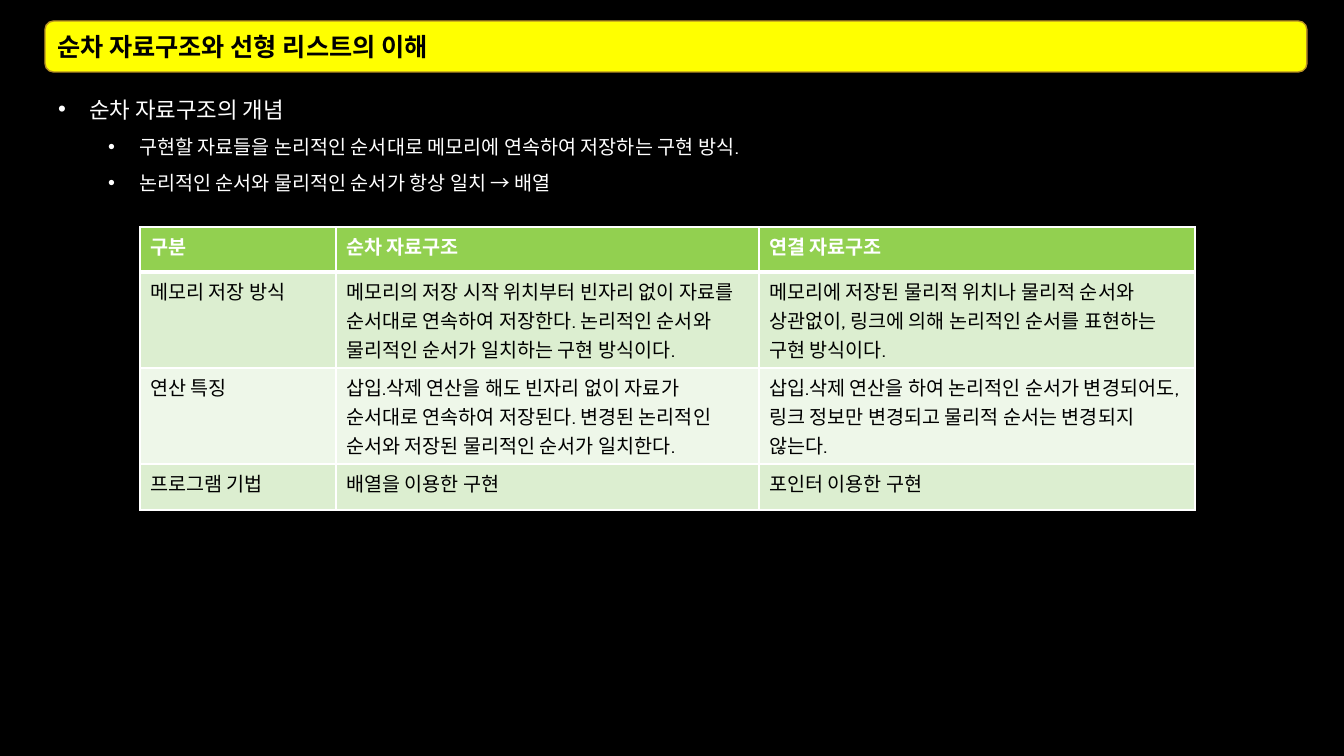
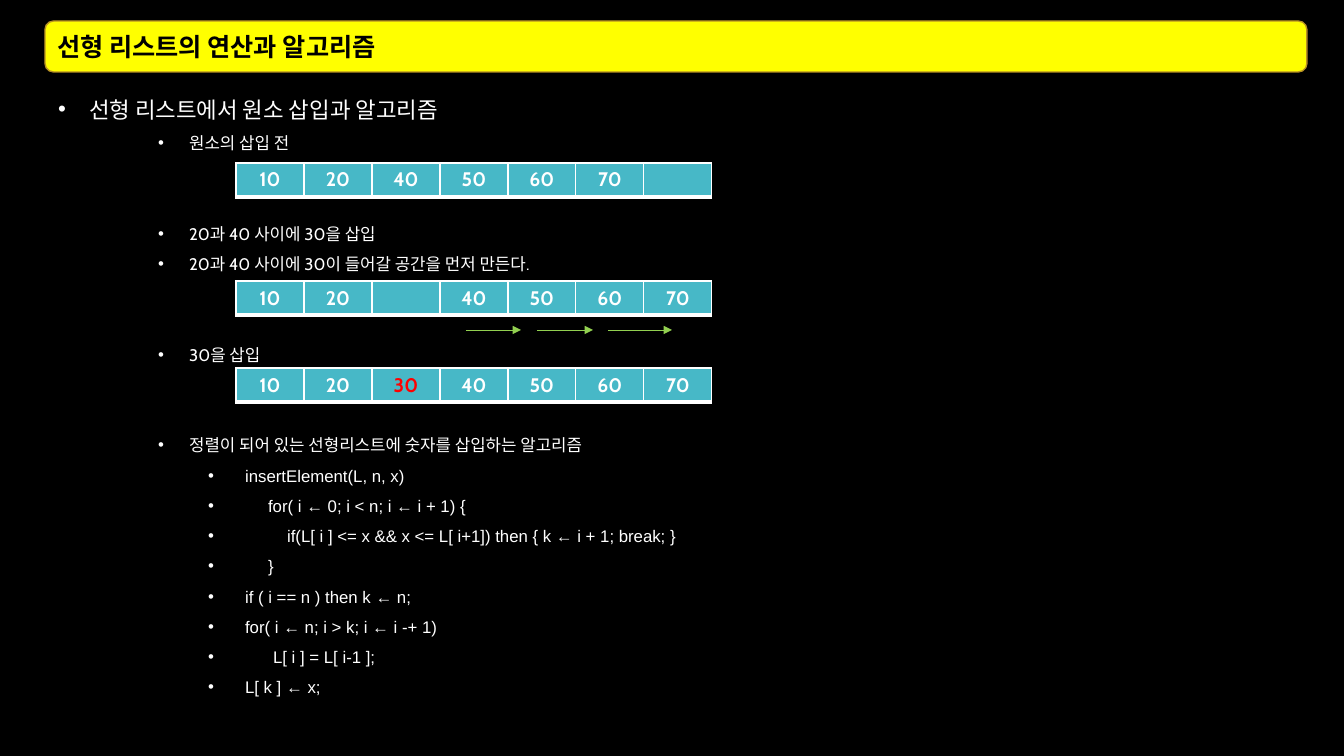
from typing import NamedTuple

from lxml.etree import SubElement
from pptx import Presentation
from pptx.dml.color import RGBColor
from pptx.enum.shapes import MSO_CONNECTOR, MSO_SHAPE
from pptx.enum.text import MSO_ANCHOR as Anchor, MSO_AUTO_SIZE as AutoSize, PP_ALIGN as Align
from pptx.oxml.ns import qn
from pptx.util import Emu, Pt

BLACK = RGBColor(0x00, 0x00, 0x00)
WHITE = RGBColor(0xFF, 0xFF, 0xFF)
RED = RGBColor(0xFF, 0x00, 0x00)
YELLOW = RGBColor(0xFF, 0xFF, 0x00)
GOLD = RGBColor(0xB7, 0x90, 0x24)
GREEN = RGBColor(0x92, 0xD0, 0x50)
PALE_GREEN = RGBColor(0xDC, 0xEE, 0xD0)
PALEST_GREEN = RGBColor(0xEE, 0xF7, 0xE9)
TEAL = RGBColor(0x47, 0xB8, 0xC7)

FONT = "Cabin"
CODE_FONT = "Arial"
PX_PER_INCH = 100.8
SLIDE_SIZE = (1344, 756)
TITLE_BOX = (45, 21, 1262, 51)
BODY_BOX = (48, 77, 1258, 651)
HANG = 31
LEVEL_STEP = 50
TABLE_GAP = Pt(43.2)


class LevelStyle(NamedTuple):
    """Type size, line pitch and font of an outline level."""
    size: float
    pitch: float
    font: str = FONT


class Line(NamedTuple):
    """One bulleted line; shift moves its text away from the bullet."""
    level: int
    text: str
    space_before: int = 0
    shift: int = 0


LEVELS = [
    LevelStyle(16, 29),
    LevelStyle(14, 25.7),
    LevelStyle(12, 21.6),
    LevelStyle(12, 21.6, CODE_FONT),
]

CONCEPT_LINES = [
    Line(0, "순차 자료구조의 개념"),
    Line(1, "구현할 자료들을 논리적인 순서대로 메모리에 연속하여 저장하는 구현 방식."),
    Line(1, "논리적인 순서와 물리적인 순서가 항상 일치 → 배열"),
]
COMPARISON = [
    ("구분", "순차 자료구조", "연결 자료구조"),
    ("메모리 저장 방식",
     "메모리의 저장 시작 위치부터 빈자리 없이 자료를 순서대로 연속하여 저장한다. "
     "논리적인 순서와 물리적인 순서가 일치하는 구현 방식이다.",
     "메모리에 저장된 물리적 위치나 물리적 순서와 상관없이, "
     "링크에 의해 논리적인 순서를 표현하는 구현 방식이다."),
    ("연산 특징",
     "삽입.삭제 연산을 해도 빈자리 없이 자료가 순서대로 연속하여 저장된다. "
     "변경된 논리적인 순서와 저장된 물리적인 순서가 일치한다.",
     "삽입.삭제 연산을 하여 논리적인 순서가 변경되어도, "
     "링크 정보만 변경되고 물리적 순서는 변경되지 않는다."),
    ("프로그램 기법", "배열을 이용한 구현", "포인터 이용한 구현"),
]
INSERTION_LINES = [
    Line(0, "선형 리스트에서 원소 삽입과 알고리즘"),
    Line(2, "원소의 삽입 전"),
    Line(2, "20과 40 사이에 30을 삽입", TABLE_GAP),
    Line(2, "20과 40 사이에 30이 들어갈 공간을 먼저 만든다."),
    Line(2, "30을 삽입", TABLE_GAP),
    Line(2, "정렬이 되어 있는 선형리스트에 숫자를 삽입하는 알고리즘", TABLE_GAP),
    Line(3, "insertElement(L, n, x)", shift=6),
    Line(3, "for( i ← 0; i < n; i ← i + 1) {", shift=29),
    Line(3, "if(L[ i ] <= x && x <= L[ i+1]) then { k ← i + 1; break; }", shift=48),
    Line(3, "}", shift=29),
    Line(3, "if ( i == n ) then k ← n;", shift=6),
    Line(3, "for( i ← n; i > k; i ← i -+ 1)", shift=6),
    Line(3, "L[ i ] = L[ i-1 ];", shift=34),
    Line(3, "L[ k ] ← x;", shift=6),
]
LIST_STATES = [
    (163, ("10", "20", "40", "50", "60", "70", "")),
    (281, ("10", "20", "", "40", "50", "60", "70")),
    (368, ("10", "20", "30", "40", "50", "60", "70")),
]
INSERTED = "30"
SHIFT_ARROWS = [(466, 521), (537, 593), (608, 672)]
SHIFT_ARROW_Y = 330


def px(length):
    """Convert px to EMU."""
    return Emu(round(length * 914400 / PX_PER_INCH))


def place(shape, box):
    """Move and size a shape to a px box."""
    shape.left, shape.top, shape.width, shape.height = map(px, box)


def style_font(font, size, color, name=FONT, bold=False):
    """Set every font property used in the deck."""
    font.name, font.size, font.bold = name, Pt(size), bold
    font.color.rgb = color


def add_title(slide, text, box):
    """Draw the title band and set the title on it."""
    band = slide.shapes.add_shape(MSO_SHAPE.ROUNDED_RECTANGLE, *map(px, box))
    band.shadow.inherit = False
    band.fill.solid()
    band.fill.fore_color.rgb = YELLOW
    band.line.color.rgb = GOLD
    band.line.width = Pt(1)
    title = slide.shapes.title
    title.element.addprevious(band.element)
    left, top, width, height = box
    place(title, (left + 2, top, width - 4, height))
    frame = title.text_frame
    frame.auto_size = AutoSize.NONE
    frame.vertical_anchor = Anchor.MIDDLE
    frame.text = text
    heading = frame.paragraphs[0]
    heading.alignment = Align.LEFT
    style_font(heading.font, 18, BLACK, bold=True)


def set_bullet(paragraph, level, shift):
    """Give a paragraph a round bullet and a hanging indent."""
    properties = paragraph._p.get_or_add_pPr()
    properties.set("marL", str(px(HANG + LEVEL_STEP * level + shift)))
    properties.set("indent", str(-px(HANG + shift)))
    SubElement(properties, qn("a:buFont"), typeface="Arial")
    SubElement(properties, qn("a:buChar"), char="•")


def add_outline(slide, lines, box):
    """Fill the body placeholder with bulleted lines."""
    body = slide.placeholders[1]
    place(body, box)
    frame = body.text_frame
    frame.auto_size = AutoSize.NONE
    frame.vertical_anchor = Anchor.TOP
    for index, line in enumerate(lines):
        paragraph = frame.add_paragraph() if index else frame.paragraphs[0]
        style = LEVELS[line.level]
        paragraph.text = line.text
        paragraph.level = line.level
        paragraph.line_spacing = Pt(style.pitch)
        paragraph.space_before = line.space_before
        paragraph.space_after = 0
        set_bullet(paragraph, line.level, line.shift)
        style_font(paragraph.font, style.size, WHITE, style.font)


def set_borders(cell, bottom):
    """Draw white cell borders with the given bottom width."""
    properties = cell._tc.get_or_add_tcPr()
    for position, (side, width) in enumerate(zip("LRTB", (1, 1, 1, bottom))):
        edge = SubElement(properties, qn(f"a:ln{side}"), w=str(Pt(width)))
        fill = SubElement(edge, qn("a:solidFill"))
        SubElement(fill, qn("a:srgbClr"), val=str(WHITE))
        properties.insert(position, edge)


def style_cell(cell, text, fill, color, bold, bottom=1, align=Align.LEFT):
    """Write and format one table cell."""
    cell.text = text
    cell.fill.solid()
    cell.fill.fore_color.rgb = fill
    set_borders(cell, bottom)
    paragraph = cell.text_frame.paragraphs[0]
    paragraph.alignment = align
    style_font(paragraph.font, 14, color, bold=bold)


def add_grid(slide, left, top, widths, heights):
    """Add a table with the given column widths and row heights."""
    box = (left, top, sum(widths), sum(heights))
    grid = slide.shapes.add_table(len(heights), len(widths), *map(px, box)).table
    grid.horz_banding = False
    for column, width in zip(grid.columns, widths):
        column.width = px(width)
    for row, height in zip(grid.rows, heights):
        row.height = px(height)
    return grid


def add_comparison(slide, left, top):
    """Compare sequential and linked structures."""
    grid = add_grid(slide, left, top, (196, 423, 436), (45, 96, 96, 46))
    for row, texts in enumerate(COMPARISON):
        for column, text in enumerate(texts):
            cell = grid.cell(row, column)
            if row == 0:
                style_cell(cell, text, GREEN, WHITE, True, bottom=3)
            else:
                band = PALE_GREEN if row % 2 else PALEST_GREEN
                style_cell(cell, text, band, BLACK, False)


def add_list_state(slide, values, left, top):
    """Show the list elements as one row of cells."""
    grid = add_grid(slide, left, top, [68] * len(values), [33])
    for column, value in enumerate(values):
        color = RED if value == INSERTED else WHITE
        style_cell(grid.cell(0, column), value, TEAL, color, True, 3, Align.CENTER)


def add_shift_arrow(slide, start, end, y):
    """Draw an arrow for an element moving right."""
    ends = map(px, (start, y, end, y))
    arrow = slide.shapes.add_connector(MSO_CONNECTOR.STRAIGHT, *ends)
    arrow.line.color.rgb = GREEN
    arrow.line.width = Pt(0.5)
    SubElement(arrow.get_or_add_ln(), qn("a:tailEnd"), type="triangle")
    SubElement(arrow.element.spPr, qn("a:effectLst"))


def add_topic(deck, title, lines):
    """Add a slide with the shared title band and outline."""
    slide = deck.slides.add_slide(deck.slide_layouts[1])
    add_title(slide, title, TITLE_BOX)
    add_outline(slide, lines, BODY_BOX)
    return slide


def build_concept(deck):
    """Build the slide on sequential structures."""
    slide = add_topic(deck, "순차 자료구조와 선형 리스트의 이해", CONCEPT_LINES)
    add_comparison(slide, 140, 227)


def build_insertion(deck):
    """Build the slide on inserting an element."""
    slide = add_topic(deck, "선형 리스트의 연산과 알고리즘", INSERTION_LINES)
    for top, values in LIST_STATES:
        add_list_state(slide, values, 236, top)
    for start, end in SHIFT_ARROWS:
        add_shift_arrow(slide, start, end, SHIFT_ARROW_Y)


def main():
    """Build and save the deck."""
    deck = Presentation()
    deck.slide_width, deck.slide_height = map(px, SLIDE_SIZE)
    background = deck.slide_master.background.fill
    background.solid()
    background.fore_color.rgb = BLACK
    build_concept(deck)
    build_insertion(deck)
    deck.save("out.pptx")


if __name__ == "__main__":
    main()
